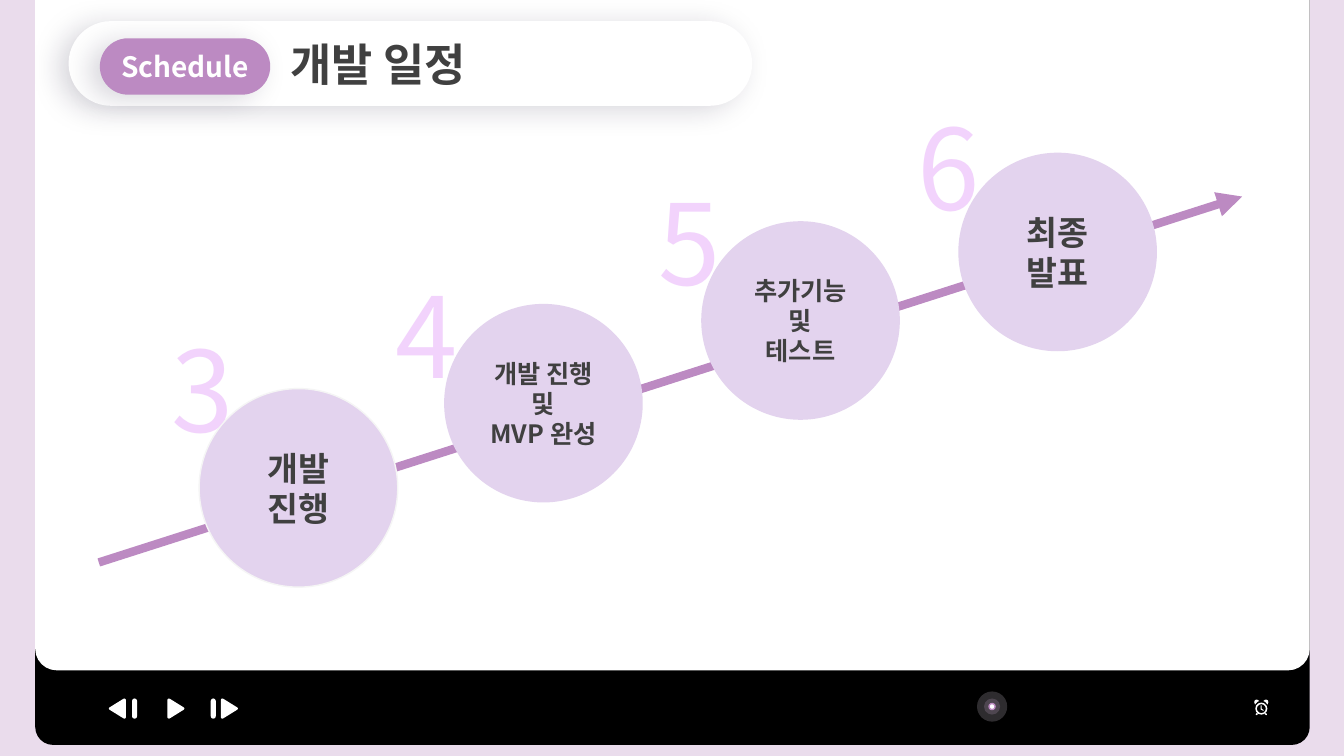
from dataclasses import dataclass

from lxml.etree import SubElement
from pptx import Presentation
from pptx.dml.color import RGBColor
from pptx.enum.shapes import MSO_CONNECTOR, MSO_SHAPE
from pptx.enum.text import MSO_ANCHOR, PP_ALIGN
from pptx.oxml.ns import qn
from pptx.util import Inches, Pt

BLACK = RGBColor(0x00, 0x00, 0x00)
WHITE = RGBColor(0xFF, 0xFF, 0xFF)
LILAC = RGBColor(0xEA, 0xDC, 0xEC)
MAUVE = RGBColor(0xD2, 0xB1, 0xD7)
PURPLE = RGBColor(0xBC, 0x8A, 0xC2)
LAVENDER = RGBColor(0xE3, 0xD3, 0xEE)
PINK = RGBColor(0xF2, 0xD3, 0xFC)
CHARCOAL = RGBColor(0x40, 0x40, 0x40)
SMOKE = RGBColor(0xF5, 0xF5, 0xF5)
NAVY = RGBColor(0x1B, 0x14, 0x35)

MILS_PER_INCH = 1000
PLAY = [(0, 15), (5, 5), (15, 0), (25, 3), (165, 90), (170, 100),
        (165, 110), (25, 197), (15, 200), (5, 195), (0, 185)]
CLOCK_EAR = [(-62, -40), (-70, -62), (-66, -80), (-52, -89), (-36, -87),
             (-21, -75), (-40, -65)]
CLOCK_FOOT = [(-45, 42), (-56, 58), (-52, 64), (-46, 64), (-32, 54)]
CLOCK_HANDS = [(-7, -32), (3, -32), (4, 1), (24, 15), (20, 22), (-8, 8)]


@dataclass
class SlideBuilder:
    slide: object
    font: str = "Noto Sans CJK KR"

    def paint(self, shape, fill, line=None, opacity=None):
        shape.shadow.inherit = False
        shape.fill.solid()
        shape.fill.fore_color.rgb = fill
        if opacity:
            color = shape._element.spPr.find(qn("a:solidFill"))[0]
            SubElement(color, qn("a:alpha"), val=str(opacity * 1000))
        if line:
            shape.line.color.rgb = line
            shape.line.width = Pt(1)
        else:
            shape.line.fill.background()
        return shape

    def shape(self, kind, box, fill, adjustments=(), line=None, opacity=None):
        shape = self.slide.shapes.add_shape(kind, *map(Inches, box))
        for index, value in enumerate(adjustments):
            shape.adjustments[index] = value
        return self.paint(shape, fill, line, opacity)

    def circle(self, center, diameter, fill, **style):
        left, top = (value - diameter / 2 for value in center)
        return self.shape(MSO_SHAPE.OVAL, (left, top, diameter, diameter), fill, **style)

    def pill(self, box, fill):
        return self.shape(MSO_SHAPE.ROUNDED_RECTANGLE, box, fill, [0.5])

    def outline(self, origin, points, fill, mirror=False):
        direction = -1 if mirror else 1
        points = [(direction * x, y) for x, y in points]
        builder = self.slide.shapes.build_freeform(*points[0], scale=Inches(1) / MILS_PER_INCH)
        builder.add_line_segments(points[1:])
        return self.paint(builder.convert_to_shape(*map(Inches, origin)), fill)

    def soft_shadow(self, shape):
        effects = shape._element.spPr.find(qn("a:effectLst"))
        shadow = SubElement(effects, qn("a:outerShdw"), blurRad=str(Pt(20)),
                            dist=str(Pt(8)), dir=str(160 * 60000), rotWithShape="0")
        color = SubElement(shadow, qn("a:srgbClr"), val=str(NAVY))
        SubElement(color, qn("a:alpha"), val="17000")

    def label(self, shape, text, size, color, align=PP_ALIGN.CENTER, bold=True):
        text_frame = shape.text_frame
        text_frame.text = text
        text_frame.word_wrap = True
        text_frame.vertical_anchor = MSO_ANCHOR.MIDDLE
        for paragraph in text_frame.paragraphs:
            paragraph.alignment = align
            for run in paragraph.runs:
                run.font.size = Pt(size)
                run.font.bold = bold
                run.font.color.rgb = color
                run.font.name = self.font
                SubElement(run._r.get_or_add_rPr(), qn("a:ea"), typeface=self.font)

    def number(self, position, text):
        box = self.slide.shapes.add_textbox(*map(Inches, (*position, 0.47, 1.45)))
        self.label(box, text, 80, PINK, PP_ALIGN.LEFT, bold=False)
        box.text_frame.vertical_anchor = MSO_ANCHOR.TOP

    def arrow(self, start, end, color, width):
        connector = self.slide.shapes.add_connector(
            MSO_CONNECTOR.STRAIGHT, *map(Inches, (*start, *end)))
        connector.line.color.rgb = color
        connector.line.width = Pt(width)
        properties = connector._element.spPr
        SubElement(properties.find(qn("a:ln")), qn("a:tailEnd"), type="triangle")
        SubElement(properties, qn("a:effectLst"))


def add_frame(builder):
    for height, radius, fill in [(7.39, 0.024, BLACK), (6.65, 0.032, WHITE)]:
        builder.shape(MSO_SHAPE.ROUND_2_SAME_RECTANGLE, (0.35, 0, 12.64, height),
                      fill, [0, radius])


def add_header(builder):
    title = builder.pill((0.68, 0.21, 6.78, 0.84), WHITE)
    builder.soft_shadow(title)
    builder.label(title, "개발 일정", 32, CHARCOAL, PP_ALIGN.LEFT)
    title.text_frame.margin_left = Inches(2.08)
    tag = builder.pill((0.99, 0.38, 1.69, 0.56), PURPLE)
    builder.soft_shadow(tag)
    builder.label(tag, "Schedule", 20, WHITE)


def add_player(builder):
    top = 6.93
    for left, mirror in [(1.25, True), (1.66, False), (2.19, False)]:
        builder.outline((left, top), PLAY, WHITE, mirror)
    for left in (1.31, 2.09):
        builder.pill((left, top, 0.05, 0.2), WHITE)
    knob = (9.84, 7.01)
    builder.circle(knob, 0.3, LILAC, opacity=20)
    builder.circle(knob, 0.16, MAUVE, opacity=20)
    builder.circle(knob, 0.06, WHITE, line=PURPLE)


def add_clock(builder):
    center = (12.51, 7.03)
    for part in (CLOCK_EAR, CLOCK_FOOT):
        for mirror in (False, True):
            builder.outline(center, part, WHITE, mirror)
    x, y = center
    builder.shape(MSO_SHAPE.DONUT, (x - 0.06, y - 0.06, 0.12, 0.12), WHITE, [0.13])
    builder.outline(center, CLOCK_HANDS, WHITE)


def add_schedule(builder):
    stages = [
        ("3", (1.6, 3.13), (2.96, 4.84), "개발\n진행", 24, SMOKE),
        ("4", (3.82, 2.59), (5.39, 4), "개발 진행\n및\nMVP 완성", 18, None),
        ("5", (6.43, 1.67), (7.94, 3.18), "추가기능\n및\n테스트", 18, None),
        ("6", (9, 0.93), (10.49, 2.5), "최종\n발표", 24, None),
    ]
    for month, position, *_ in stages:
        builder.number(position, month)
    builder.arrow((0.98, 5.58), (12.32, 1.95), PURPLE, 6)
    for _, _, center, text, size, line in stages:
        circle = builder.circle(center, 1.97, LAVENDER, line=line)
        builder.label(circle, text, size, CHARCOAL)


def main():
    presentation = Presentation()
    presentation.slide_width = Inches(13.33)
    presentation.slide_height = Inches(7.5)
    slide = presentation.slides.add_slide(presentation.slide_layouts[6])
    slide.background.fill.solid()
    slide.background.fill.fore_color.rgb = LILAC
    builder = SlideBuilder(slide)
    add_frame(builder)
    add_header(builder)
    add_player(builder)
    add_clock(builder)
    add_schedule(builder)
    presentation.save("out.pptx")


if __name__ == "__main__":
    main()
